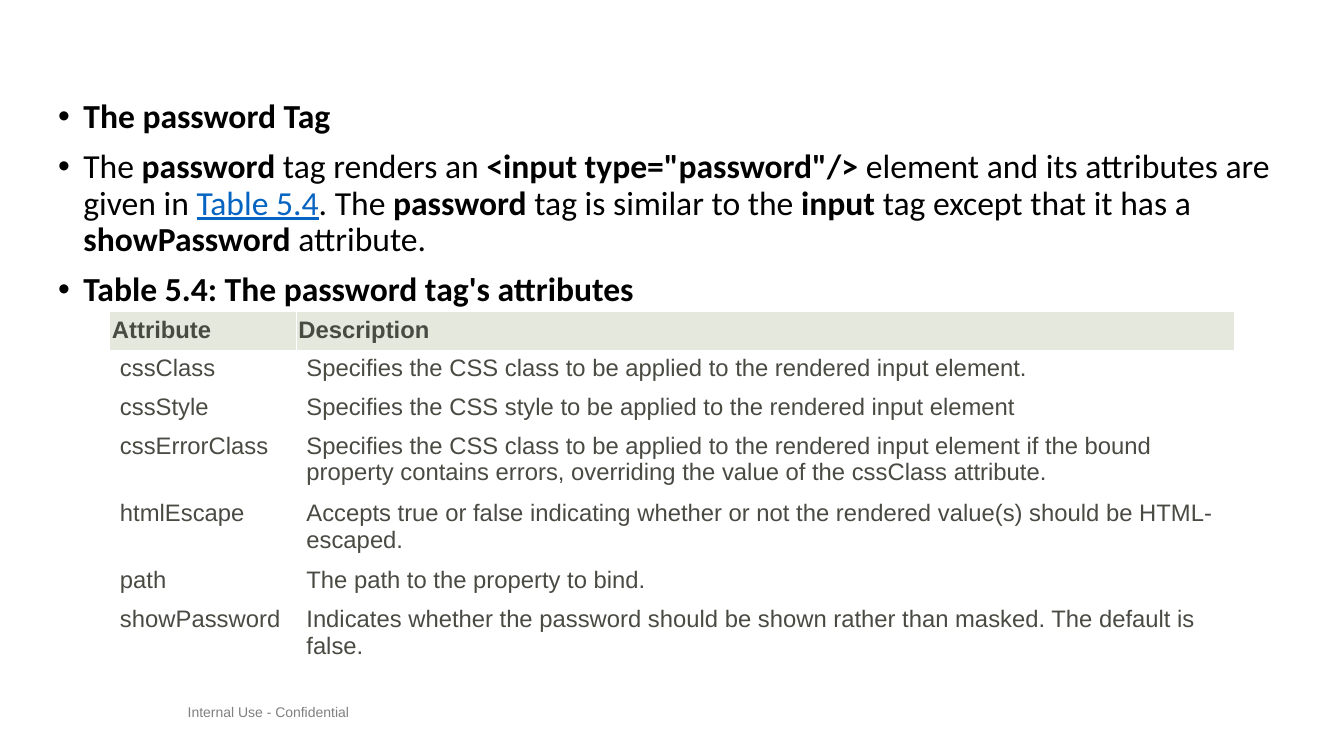
from lxml import etree
from pptx import Presentation
from pptx.dml.color import RGBColor
from pptx.enum.text import MSO_ANCHOR
from pptx.oxml.ns import qn
from pptx.util import Pt

TOP = MSO_ANCHOR.TOP

BLACK, GREY, WHITE = "000000", "808080", "FFFFFF"
LINK_BLUE, TABLE_TEXT, HEADER_FILL = "0563C1", "494B43", "E5E8DD"

PLAIN, BOLD = {}, {"bold": True}
LINK = {"color": LINK_BLUE, "underline": True}

BULLETS = [
    [("The password Tag", BOLD)],
    [
        ("The ", PLAIN),
        ("password", BOLD),
        (" tag renders an ", PLAIN),
        ('<input type="password"/>', BOLD),
        (" element and its attributes are given in ", PLAIN),
        ("Table 5.4", LINK),
        (". The ", PLAIN),
        ("password", BOLD),
        (" tag is similar to the ", PLAIN),
        ("input", BOLD),
        (" tag except that it has a ", PLAIN),
        ("showPassword", BOLD),
        (" attribute.", PLAIN),
    ],
    [("Table 5.4: The password tag's attributes", BOLD)],
]

ATTRIBUTES = [
    ("Attribute", "Description"),
    ("cssClass", "Specifies the CSS class to be applied to the rendered input element."),
    ("cssStyle", "Specifies the CSS style to be applied to the rendered input element"),
    ("cssErrorClass", "Specifies the CSS class to be applied to the rendered input element "
                      "if the bound property contains errors, overriding the value of the "
                      "cssClass attribute."),
    ("htmlEscape", "Accepts true or false indicating whether or not the rendered value(s) "
                   "should be HTML-escaped."),
    ("path", "The path to the property to bind."),
    ("showPassword", "Indicates whether the password should be shown rather than masked. "
                     "The default is false."),
]


def rgb(value):
    return RGBColor.from_string(value)


class SlideBuilder:
    def __init__(self, slide):
        self.slide = slide
        self.body_font, self.body_size = "Calibri", 24
        self.table_font, self.table_size = "Arial", 17
        self.footer_font, self.footer_size = "Arial", 10

    def add_run(self, paragraph, text, name, size, color, bold=False, underline=False):
        run = paragraph.add_run()
        run.text = text
        font = run.font
        font.name, font.size = name, Pt(size)
        font.bold, font.underline = bold, underline
        font.color.rgb = rgb(color)

    def add_text_box(self, left, top, width, height):
        box = self.slide.shapes.add_textbox(Pt(left), Pt(top), Pt(width), Pt(height))
        box.text_frame.word_wrap = True
        return box.text_frame

    def add_bullets(self, items, left, top, width, height):
        frame = self.add_text_box(left, top, width, height)
        for index, runs in enumerate(items):
            paragraph = frame.add_paragraph() if index else frame.paragraphs[0]
            properties = paragraph._p.get_or_add_pPr()
            properties.set("marL", str(Pt(18)))
            properties.set("indent", str(-Pt(18)))
            etree.SubElement(properties, qn("a:buFont")).set("typeface", "Arial")
            etree.SubElement(properties, qn("a:buChar")).set("char", "•")
            paragraph.line_spacing = 0.9
            if index:
                paragraph.space_before = Pt(10)
            for text, style in runs:
                self.add_run(paragraph, text, self.body_font, self.body_size,
                             **{"color": BLACK, **style})

    def add_footer(self, text, left, top, width, height):
        frame = self.add_text_box(left, top, width, height)
        self.add_run(frame.paragraphs[0], text, self.footer_font, self.footer_size, GREY)

    def add_borders(self, cell):
        properties = cell._tc.get_or_add_tcPr()
        for position, side in enumerate(("a:lnL", "a:lnR", "a:lnT", "a:lnB")):
            line = etree.Element(qn(side), w=str(Pt(0.75)))
            fill = etree.SubElement(line, qn("a:solidFill"))
            etree.SubElement(fill, qn("a:srgbClr")).set("val", WHITE)
            properties.insert(position, line)

    def add_table(self, rows, left, top, column_widths, row_height):
        """Rows grow to fit wrapped text; row_height is the minimum."""
        table = self.slide.shapes.add_table(
            len(rows), len(column_widths), Pt(left), Pt(top),
            Pt(sum(column_widths)), Pt(row_height * len(rows))).table
        table.first_row = table.horz_banding = False
        for column, width in zip(table.columns, column_widths):
            column.width = Pt(width)
        for row_index, texts in enumerate(rows):
            header = row_index == 0
            for column_index, text in enumerate(texts):
                cell = table.cell(row_index, column_index)
                cell.margin_left = cell.margin_right = Pt(1.5 if header else 7.2)
                cell.margin_top = cell.margin_bottom = Pt(3.6)
                cell.vertical_anchor = TOP
                cell.fill.solid()
                cell.fill.fore_color.rgb = rgb(HEADER_FILL if header else WHITE)
                self.add_borders(cell)
                self.add_run(cell.text_frame.paragraphs[0], text, self.table_font,
                             self.table_size, TABLE_TEXT, bold=header)


def main():
    presentation = Presentation()
    presentation.slide_width, presentation.slide_height = Pt(960), Pt(540)
    builder = SlideBuilder(presentation.slides.add_slide(presentation.slide_layouts[6]))
    builder.add_footer("Internal Use - Confidential", 127, 499, 833, 44)
    builder.add_bullets(BULLETS, 34.5, 67.5, 892, 419)
    builder.add_table(ATTRIBUTES, 78.5, 222.5, (133.2, 670.3), 18.7)
    presentation.save("out.pptx")


if __name__ == "__main__":
    main()
